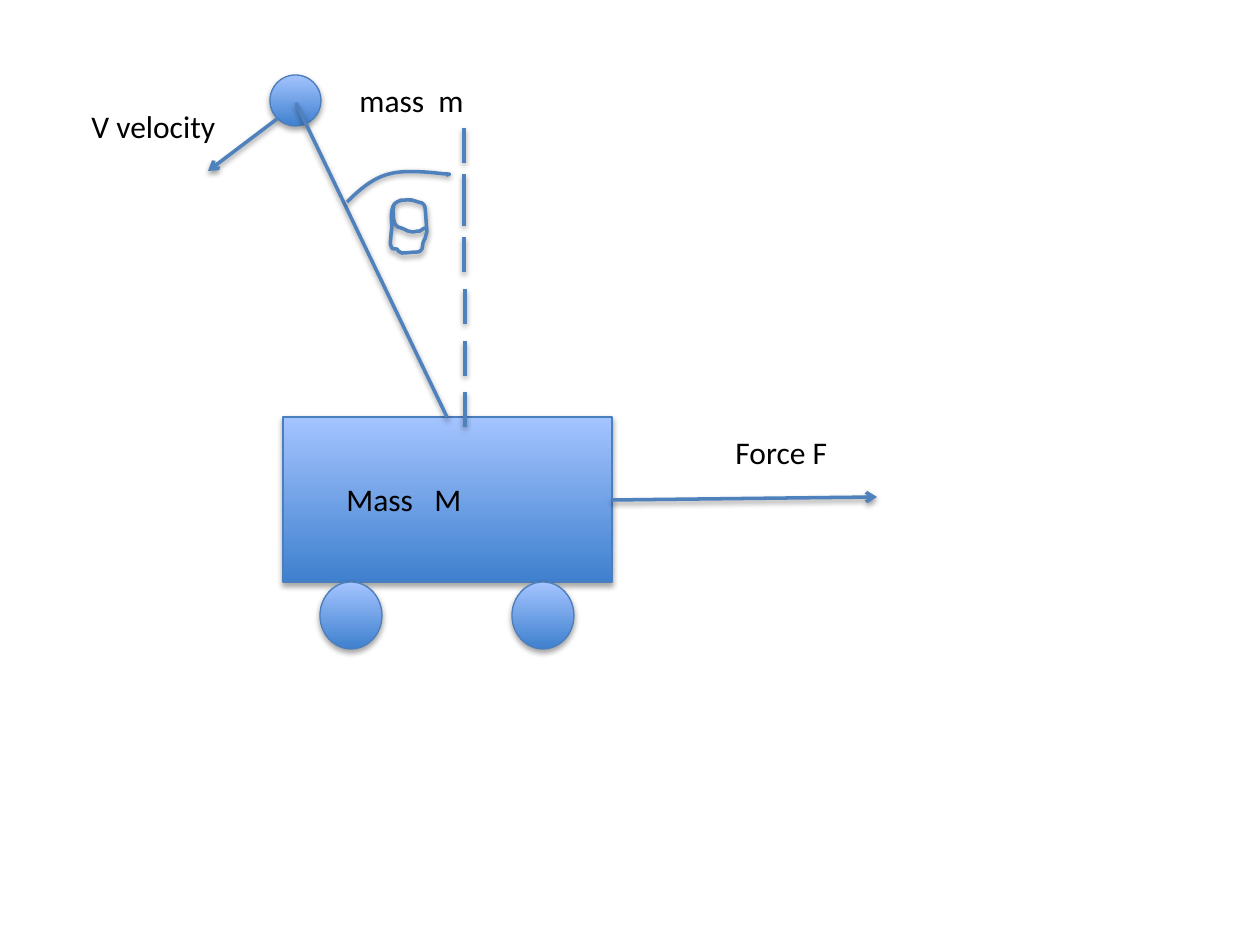
from lxml.etree import SubElement
from pptx import Presentation
from pptx.dml.color import RGBColor
from pptx.enum.shapes import MSO_CONNECTOR as Connector, MSO_SHAPE as Shape
from pptx.enum.text import MSO_AUTO_SIZE as AutoSize
from pptx.oxml.ns import qn
from pptx.util import Emu, Pt

EMU_PER_PX = 914400 / 126


def px(length):
    return Emu(round(length * EMU_PER_PX))


def color(value):
    return RGBColor.from_string(value)


class Diagram:
    stroke, outline = ("4F81BD", 2), ("4B7EBC", 0.75)
    gradient = ("3F80CE", "A4C4FF")
    text_format = {"size": Pt(18), "name": "Calibri"}
    text_color = "000000"

    def __init__(self, slide):
        self.shapes = slide.shapes

    def finish(self, item, line, distance, opacity):
        """Set the line and a soft shadow straight below."""
        item.line.color.rgb = color(line[0])
        item.line.width = Pt(line[1])
        effects = SubElement(item._element.spPr, qn("a:effectLst"))
        shadow = SubElement(effects, qn("a:outerShdw"), blurRad="40000",
                            dist=str(distance), dir="5400000", rotWithShape="0")
        black = SubElement(shadow, qn("a:srgbClr"), val="000000")
        SubElement(black, qn("a:alpha"), val=str(opacity * 1000))

    def body(self, kind, left, top, width, height):
        body = self.shapes.add_shape(kind, *map(px, (left, top, width, height)))
        body.fill.gradient()
        body.fill.gradient_angle = 90
        for stop, shade in zip(body.fill.gradient_stops, self.gradient):
            stop.color.rgb = color(shade)
        self.finish(body, self.outline, 23000, 35)

    def line(self, start, end, arrow=False):
        line = self.shapes.add_connector(Connector.STRAIGHT, *map(px, start + end))
        self.finish(line, self.stroke, 20000, 38)
        if arrow:
            SubElement(line.line._get_or_add_ln(), qn("a:tailEnd"), type="arrow")

    def curve(self, start, segments):
        """Draw cubic segments, each two control points and an end point."""
        points = [segment[i:i + 2] for segment in segments for i in (0, 2, 4)]
        builder = self.shapes.build_freeform(*start, scale=EMU_PER_PX)
        builder.add_line_segments(points, close=False)
        curve = builder.convert_to_shape()
        # Merge every three straight steps into one Bezier segment
        steps = list(curve._element.iter(qn("a:lnTo")))
        for first in range(0, len(steps), 3):
            outline = steps[first].getparent()
            bezier = SubElement(outline, qn("a:cubicBezTo"))
            for step in steps[first:first + 3]:
                bezier.append(step[0])
                outline.remove(step)
        curve.fill.background()
        self.finish(curve, self.stroke, 20000, 38)

    def label(self, text, left, top, width, wrap):
        frame = self.shapes.add_textbox(*map(px, (left, top, width, 51))).text_frame
        frame.word_wrap = wrap
        frame.auto_size = AutoSize.SHAPE_TO_FIT_TEXT
        run = frame.paragraphs[0].add_run()
        run.text = text
        for attribute, value in self.text_format.items():
            setattr(run.font, attribute, value)
        run.font.color.rgb = color(self.text_color)


def main():
    deck = Presentation()
    deck.slide_width, deck.slide_height = px(1260), px(945)
    diagram = Diagram(deck.slides.add_slide(deck.slide_layouts[6]))

    # Cart, pendulum bob and rod
    diagram.body(Shape.RECTANGLE, 283, 417, 329, 165)
    diagram.body(Shape.OVAL, 270, 75, 51, 51)
    diagram.line((296, 103), (447, 417))

    # Angle arc
    diagram.curve((347, 202), [
        (360, 189, 373, 178, 389, 174), (406, 169, 436, 173, 445, 174),
        (455, 174, 446, 175, 446, 175)])

    # Force and velocity arrows
    diagram.line((612, 500), (877, 497), arrow=True)
    diagram.line((277, 119), (208, 171), arrow=True)

    # Labels
    diagram.label("Mass   M", 334, 474, 227, wrap=True)
    diagram.label("mass  m", 347, 75, 169, wrap=True)
    diagram.label("Force F", 723, 427, 120, wrap=False)

    # Wheels
    for wheel_left in (320, 512):
        diagram.body(Shape.OVAL, wheel_left, 582, 62, 67)

    diagram.label("V velocity", 79, 101, 151, wrap=False)

    # Hand-drawn theta
    diagram.curve((404, 200), [
        (402, 200, 399, 200, 397, 202), (389, 205, 392, 224, 392, 226),
        (392, 228, 391, 232, 391, 236), (391, 239, 389, 244, 392, 248),
        (392, 249, 396, 249, 397, 249), (398, 251, 399, 252, 402, 253),
        (407, 253, 412, 252, 417, 252), (418, 252, 421, 252, 422, 249),
        (423, 248, 422, 246, 423, 243), (427, 232, 423, 247, 427, 231),
        (426, 222, 426, 214, 425, 207), (425, 205, 423, 204, 422, 203),
        (418, 202, 412, 200, 412, 200), (404, 200, 398, 199, 394, 205),
        (394, 207, 394, 208, 393, 210), (394, 215, 392, 223, 398, 227),
        (402, 228, 404, 229, 408, 231), (408, 231, 413, 232, 413, 232),
        (416, 231, 418, 231, 420, 231), (422, 229, 425, 228, 425, 228)])

    # Vertical reference dashes
    for x, top, bottom in ((464, 128, 163), (464, 174, 226), (464, 237, 272),
                           (465, 289, 324), (465, 341, 376), (465, 392, 427)):
        diagram.line((x, top), (x, bottom))

    deck.save("out.pptx")


if __name__ == "__main__":
    main()
